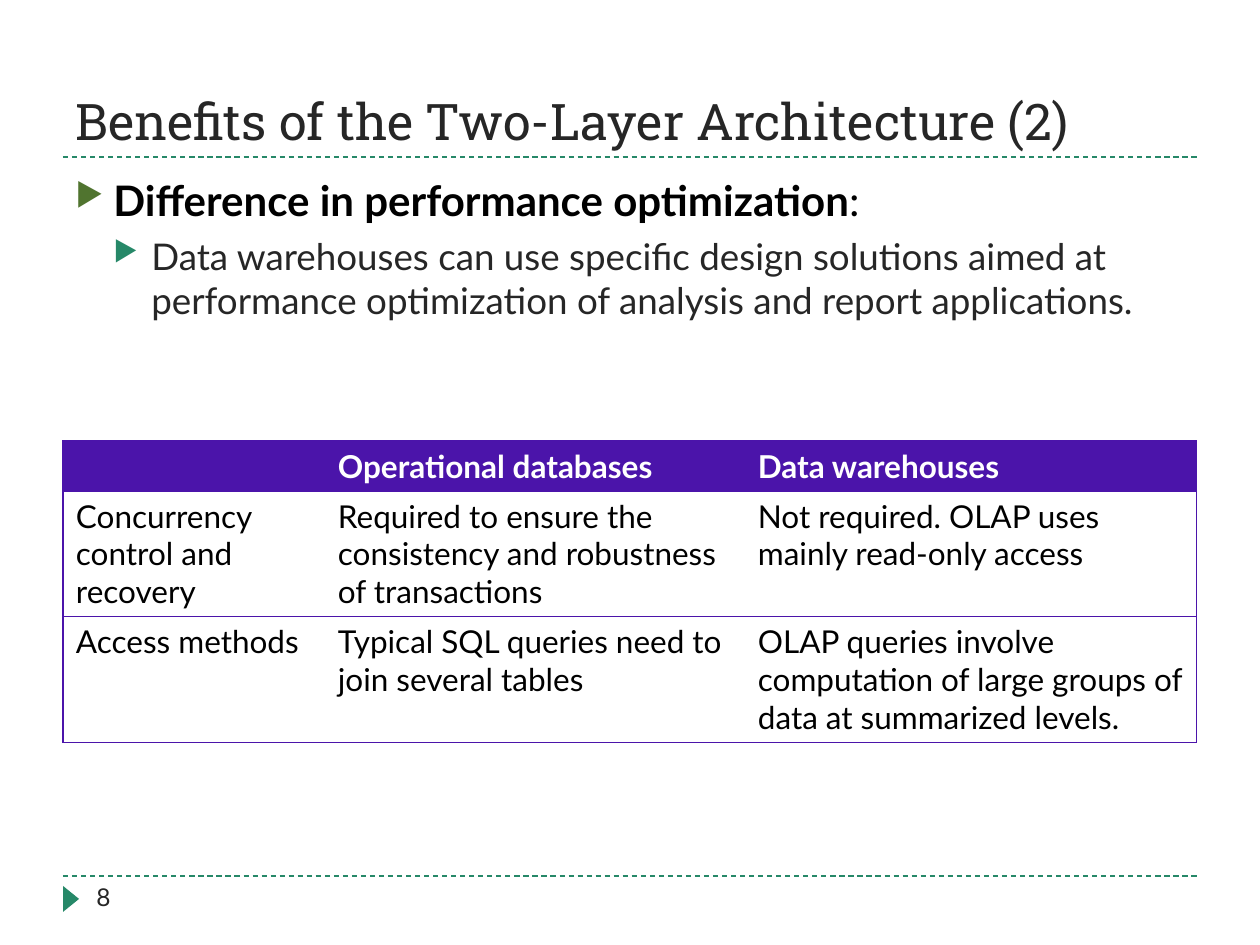
from dataclasses import dataclass

from lxml.etree import SubElement
from pptx import Presentation
from pptx.dml.color import RGBColor
from pptx.enum.dml import MSO_LINE
from pptx.enum.shapes import MSO_CONNECTOR, MSO_SHAPE
from pptx.enum.text import MSO_ANCHOR
from pptx.oxml import parse_xml
from pptx.oxml.ns import nsdecls, qn
from pptx.util import Pt

PX = 914400 // 126


@dataclass(frozen=True)
class Theme:
    ink: str = "262626"
    black: str = "000000"
    white: str = "FFFFFF"
    teal: str = "268868"
    olive: str = "50742F"
    purple: str = "4B14AA"
    heading_font: str = "Roboto Slab"
    body_font: str = "Lato"
    title_size: float = 28.8
    point_size: float = 24
    detail_size: float = 21
    table_size: float = 18
    number_size: float = 14
    rule_width: float = 0.75


THEME = Theme()


def emu(*lengths):
    return [length * PX for length in lengths]


def add_run(paragraph, text, size, color, bold=False, font=THEME.body_font):
    run = paragraph.add_run()
    run.text = text
    run.font.size = Pt(size)
    run.font.name = font
    run.font.bold = bold
    run.font.color.rgb = RGBColor.from_string(color)


def add_frame(slide, box, anchor=MSO_ANCHOR.TOP):
    frame = slide.shapes.add_textbox(*emu(*box)).text_frame
    frame.word_wrap = True
    frame.vertical_anchor = anchor
    return frame


def add_rule(slide, left, y, width):
    rule = slide.shapes.add_connector(
        MSO_CONNECTOR.STRAIGHT, *emu(left, y, left + width, y))
    rule.line.color.rgb = RGBColor.from_string(THEME.teal)
    rule.line.width = Pt(THEME.rule_width)
    rule.line.dash_style = MSO_LINE.DASH
    SubElement(rule._element.spPr, qn("a:effectLst"))


def set_bullet(paragraph, level, color, space_before):
    paragraph.level = level
    paragraph.space_before = Pt(space_before)
    properties = paragraph._p.get_or_add_pPr()
    indent = 38 * PX
    properties.set("marL", str(indent * (level + 1)))
    properties.set("indent", str(-indent))
    bullet_color = SubElement(properties, qn("a:buClr"))
    SubElement(bullet_color, qn("a:srgbClr"), val=color)
    SubElement(properties, qn("a:buSzPct"), val="76000")
    SubElement(properties, qn("a:buChar"), char="▶")


def add_title(slide, box, text):
    left, top, width, height = box
    add_rule(slide, left, top + height, width)
    frame = add_frame(slide, box, MSO_ANCHOR.BOTTOM)
    add_run(frame.paragraphs[0], text, THEME.title_size, THEME.ink,
            font=THEME.heading_font)


def add_points(slide, box, point, detail):
    frame = add_frame(slide, box)
    heading = frame.paragraphs[0]
    set_bullet(heading, 0, THEME.olive, 6)
    add_run(heading, point, THEME.point_size, THEME.black, bold=True)
    add_run(heading, ":", THEME.point_size, THEME.black)
    explanation = frame.add_paragraph()
    set_bullet(explanation, 1, THEME.teal, 5)
    add_run(explanation, detail, THEME.detail_size, THEME.ink)


def set_borders(cell, visible_sides):
    properties = cell._tc.get_or_add_tcPr()
    for position, side in enumerate("LRTB"):
        paint = (f'<a:solidFill><a:srgbClr val="{THEME.purple}"/></a:solidFill>'
                 if side in visible_sides else "<a:noFill/>")
        properties.insert(position, parse_xml(
            f'<a:ln{side} {nsdecls("a")} w="{Pt(THEME.rule_width)}">{paint}</a:ln{side}>'))


def add_comparison(slide, box, column_widths, row_heights, rows):
    table = slide.shapes.add_table(
        len(rows), len(column_widths), *emu(*box)).table
    table.first_row = table.horz_banding = False
    for column, width in zip(table.columns, column_widths):
        column.width = width * PX
    for row, height in zip(table.rows, row_heights):
        row.height = height * PX
    last_column = len(column_widths) - 1
    for r, texts in enumerate(rows):
        is_header = r == 0
        for c, text in enumerate(texts):
            cell = table.cell(r, c)
            cell.margin_left = cell.margin_right = 13 * PX
            cell.margin_top = cell.margin_bottom = 6 * PX
            if is_header:
                cell.fill.solid()
                cell.fill.fore_color.rgb = RGBColor.from_string(THEME.purple)
            else:
                cell.fill.background()
            sides = "TB" + "L" * (c == 0) + "R" * (c == last_column)
            set_borders(cell, sides)
            if text:
                add_run(cell.text_frame.paragraphs[0], text, THEME.table_size,
                        THEME.white if is_header else THEME.black, is_header)


def add_footer(slide, box, number):
    left, top, width, height = box
    add_rule(slide, left, top, width)
    marker = slide.shapes.add_shape(
        MSO_SHAPE.ISOSCELES_TRIANGLE, *emu(left - 5, top + 15, 26, 16))
    marker.rotation = 90
    marker.shadow.inherit = False
    marker.fill.solid()
    marker.fill.fore_color.rgb = RGBColor.from_string(THEME.teal)
    marker.line.fill.background()
    frame = add_frame(slide, (left + 21, top, 273, height))
    add_run(frame.paragraphs[0], number, THEME.number_size, THEME.ink)


def main():
    deck = Presentation()
    deck.slide_width, deck.slide_height = emu(1260, 945)
    slide = deck.slides.add_slide(deck.slide_layouts[6])
    add_title(slide, (63, 21, 1134, 136),
              "Benefits of the Two-Layer Architecture (2)")
    add_points(slide, (63, 168, 1124, 378),
               "Difference in performance optimization",
               "Data warehouses can use specific design solutions aimed at "
               "performance optimization of analysis and report applications.")
    add_comparison(slide, (63, 441, 1134, 302), (262, 420, 452), (50, 126, 126), (
        ("", "Operational databases", "Data warehouses"),
        ("Concurrency control and recovery",
         "Required to ensure the consistency and robustness of transactions",
         "Not required. OLAP uses mainly read-only access"),
        ("Access methods",
         "Typical SQL queries need to join several tables",
         "OLAP queries involve computation of large groups of data at "
         "summarized levels."),
    ))
    add_footer(slide, (63, 876, 1134, 50), "8")
    deck.save("out.pptx")


main()
